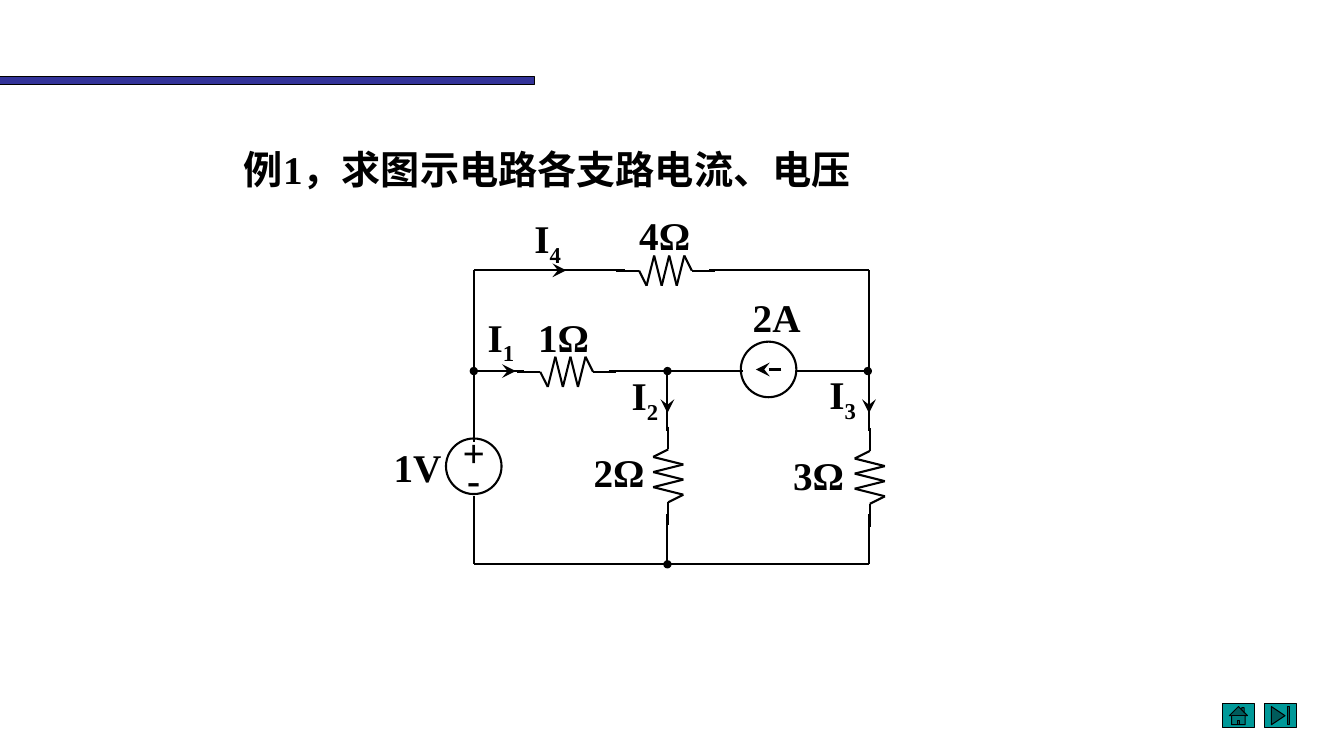
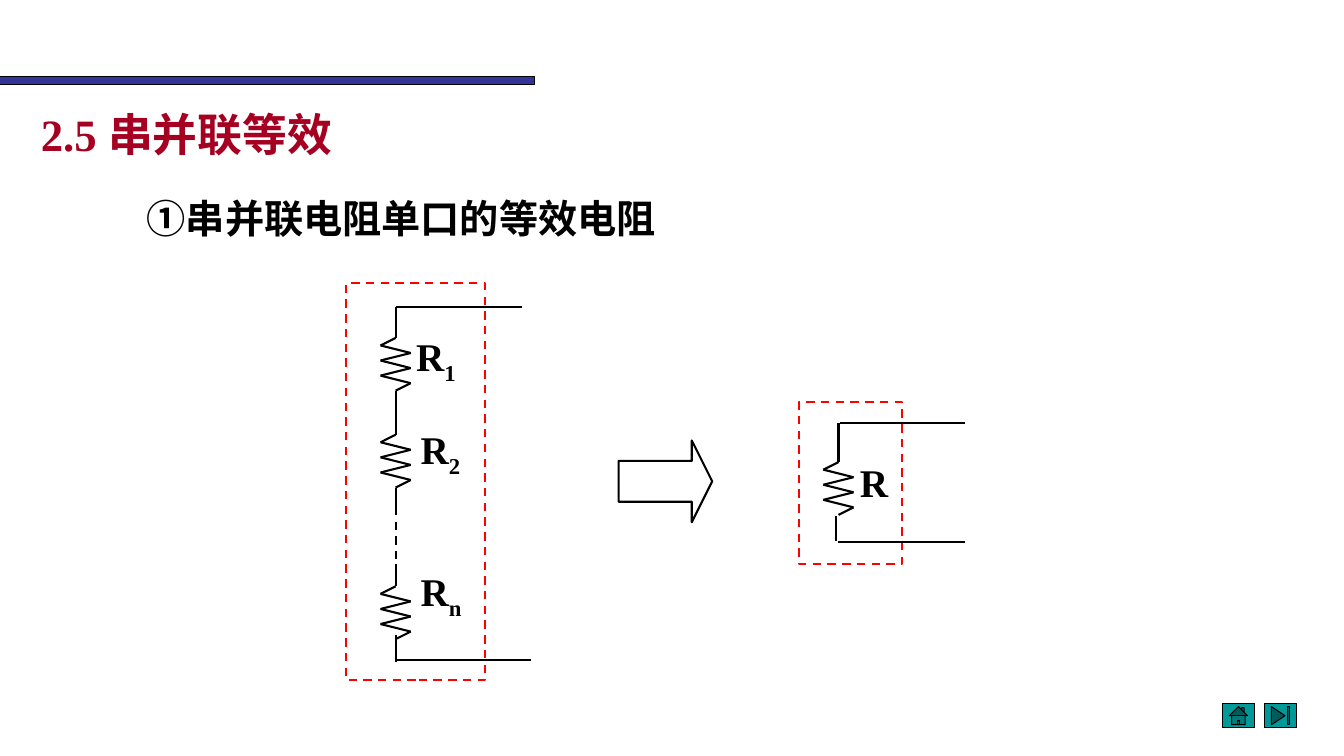
from itertools import pairwise

from lxml import etree
from pptx import Presentation
from pptx.dml.color import RGBColor
from pptx.enum import dml, shapes, text
from pptx.oxml.ns import qn
from pptx.util import Cm, Pt

BLACK = RGBColor(0x00, 0x00, 0x00)
RED = RGBColor(0xFF, 0x00, 0x00)
CRIMSON = RGBColor(0xA5, 0x00, 0x21)
NAVY = RGBColor(0x33, 0x33, 0x99)
TEAL = RGBColor(0x00, 0x99, 0x99)
FONT = "Times New Roman"
SHAPE = shapes.MSO_SHAPE
LEAD = 1.24
ZIG_STEP = 0.19
ZIG_HEIGHT = 0.38


class CircuitDeck:
    def __init__(self):
        self.deck = Presentation()
        self.deck.slide_width = Cm(33.87)
        self.deck.slide_height = Cm(19.05)
        self.page = None

    def new_page(self):
        self.page = self.deck.slides.add_slide(self.deck.slide_layouts[6])
        self.shape(SHAPE.RECTANGLE, 0, 1.93, 13.46, 0.2, NAVY, width=0.75)
        buttons = (SHAPE.ACTION_BUTTON_HOME, SHAPE.ACTION_BUTTON_END)
        for index, kind in enumerate(buttons):
            self.shape(kind, 30.81 + 1.06 * index, 17.73, 0.8, 0.61, TEAL, width=0.75)

    def outline(self, line, color=BLACK, width=1.5, dashed=False):
        line.color.rgb = color
        line.width = Pt(width)
        if dashed:
            line.dash_style = dml.MSO_LINE.DASH

    def shape(self, kind, left, top, width_cm, height_cm, fill=None, color=BLACK,
              width=1.5, dashed=False):
        shape = self.page.shapes.add_shape(
            kind, Cm(left), Cm(top), Cm(width_cm), Cm(height_cm))
        shape.shadow.inherit = False
        if fill is None:
            shape.fill.background()
        else:
            shape.fill.solid()
            shape.fill.fore_color.rgb = fill
        self.outline(shape.line, color, width, dashed)
        return shape

    def dashed_frame(self, left, top, width, height):
        self.shape(SHAPE.RECTANGLE, left, top, width, height, color=RED, dashed=True)

    def source(self, x, y, diameter=1.4):
        self.shape(SHAPE.OVAL, x - diameter / 2, y - diameter / 2, diameter, diameter)

    def wire(self, x1, y1, x2, y2, head=None, tail=None, dashed=False):
        wire = self.page.shapes.add_connector(
            shapes.MSO_CONNECTOR.STRAIGHT, Cm(x1), Cm(y1), Cm(x2), Cm(y2))
        self.outline(wire.line, dashed=dashed)
        line = wire.line._get_or_add_ln()
        for tag, kind in (("a:headEnd", head), ("a:tailEnd", tail)):
            if kind:
                end = etree.SubElement(line, qn(tag), type=kind)
                if kind == "stealth":
                    end.set("w", "lg")
                    end.set("len", "lg")
        etree.SubElement(wire._element.spPr, qn("a:effectLst"))

    def resistor(self, x, y, vertical=False, end_lead=True):
        start = -3.5 * ZIG_STEP
        points = [(-LEAD, 0), (start, 0)]
        points += [(start + ZIG_STEP * step, ZIG_HEIGHT * (1 if step % 2 else -1))
                   for step in range(1, 7)]
        points.append((-start, 0))
        if end_lead:
            points.append((LEAD, 0))
        if vertical:
            points = [(-across, along) for along, across in points]
        for (dx1, dy1), (dx2, dy2) in pairwise(points):
            self.wire(x + dx1, y + dy1, x + dx2, y + dy2)

    def words(self, content, left, top, width, height=1.45, subscript="", size=28,
              color=BLACK, inset=True, anchor=text.MSO_ANCHOR.TOP, align=None):
        box = self.page.shapes.add_textbox(Cm(left), Cm(top), Cm(width), Cm(height))
        frame = box.text_frame
        frame.word_wrap = True
        frame.vertical_anchor = anchor
        if not inset:
            frame.margin_left = frame.margin_right = 0
            frame.margin_top = frame.margin_bottom = 0
        para = frame.paragraphs[0]
        para.text = content
        para.alignment = align
        if subscript:
            span = para.add_run()
            span.text = subscript
            span._r.get_or_add_rPr().set("baseline", "-25000")
        for span in para.runs:
            span.font.name = FONT
            span.font.size = Pt(size)
            span.font.bold = True
            span.font.color.rgb = color


def build_example(deck):
    deck.new_page()
    deck.words("例1，求图示电路各支路电流、电压", 6.15, 3.66, 20.6, 1.19,
               inset=False, align=text.PP_ALIGN.JUSTIFY)

    left, middle, right = 11.94, 16.82, 21.9
    top, center, bottom = 6.81, 9.35, 14.22
    branch_start, branch_end = 10.85, 12.95
    source_x, source_y = 19.37, 9.31

    deck.wire(left, top, left, 11.13)
    deck.wire(left, 12.5, left, bottom)
    deck.wire(left, bottom, right, bottom)
    deck.wire(left, top, 15.75, top)
    deck.wire(17.88, top, right, top)
    deck.wire(left, center, 13.21, center, head="oval")
    deck.wire(15.34, center, 18.72, center)
    deck.wire(20.07, center, 21.87, center, tail="oval")
    deck.wire(right, top, right, branch_start)
    deck.wire(right, branch_end, right, bottom)
    deck.wire(middle, center, middle, branch_start, head="oval")
    deck.wire(middle, branch_end, middle, bottom, tail="oval")

    for arrow in ((13.21, top, 14.27, top), (12.17, center, 13.0, center),
                  (middle, 9.78, middle, 10.41), (right, 9.78, right, 10.41),
                  (19.69, source_y, 19.05, source_y)):
        deck.wire(*arrow, tail="stealth")

    deck.resistor(16.77, 6.82)
    deck.resistor(14.28, 9.37)
    deck.resistor(16.84, 11.99, vertical=True)
    deck.resistor(21.92, 12.03, vertical=True)
    deck.source(source_x, source_y)
    deck.source(left, 11.75)

    for content, x, y, width in (
            ("1V", 9.67, 11.05, 2.01), ("2A", 18.72, 7.26, 2.74),
            ("3Ω", 19.74, 11.24, 2.74), ("2Ω", 14.71, 11.18, 2.74),
            ("4Ω", 15.86, 5.21, 2.74), ("1Ω", 13.31, 7.77, 2.74),
            ("-", 11.52, 11.34, 1.32), ("+", 11.41, 10.68, 1.5)):
        deck.words(content, x, y, width)
    for number, x, y in (("4", 13.22, 5.27), ("2", 15.67, 9.23),
                         ("1", 12.04, 7.76), ("3", 20.65, 9.2)):
        deck.words("I", x, y, 1.7, subscript=number)


def build_equivalent(deck):
    deck.new_page()
    deck.words("2.5 串并联等效", 0.78, 2.51, 14.2, 1.7, size=32, color=CRIMSON,
               anchor=text.MSO_ANCHOR.MIDDLE)
    deck.words("①串并联电阻单口的等效电阻", 3.45, 4.76, 18.01)

    chain, top, bottom = 9.97, 7.74, 16.64
    deck.dashed_frame(8.73, 7.14, 3.5, 10)
    deck.wire(13.16, top, chain, top)
    deck.wire(chain, top, chain, 8.38)
    deck.wire(chain, 12.4, chain, 14.3, dashed=True)
    deck.wire(chain, 16, chain, bottom)
    deck.wire(13.39, bottom, chain, bottom)
    for y, number, label_x, label_y in ((9.18, "1", 10.49, 8.38),
                                        (11.62, "2", 10.6, 10.72),
                                        (15.44, "n", 10.6, 14.3)):
        deck.resistor(chain, y, vertical=True)
        deck.words("R", label_x, label_y, 1.73, 1.19, subscript=number, inset=False)

    arrow = deck.shape(SHAPE.RIGHT_ARROW, 15.59, 11.1, 2.36, 2.06)
    arrow.adjustments[1] = 0.25

    single, top, bottom = 21.13, 10.66, 13.66
    deck.dashed_frame(20.14, 10.13, 2.59, 4.09)
    deck.wire(24.33, top, 21.16, top)
    deck.wire(single, top, single, 11.28)
    deck.resistor(single, 12.31, vertical=True, end_lead=False)
    deck.wire(21.08, 13, 21.08, 13.64)
    deck.wire(24.31, bottom, single, bottom)
    deck.words("R", 21.67, 11.56, 1.47, 1.19, inset=False)


def main():
    circuit_deck = CircuitDeck()
    build_example(circuit_deck)
    build_equivalent(circuit_deck)
    circuit_deck.deck.save("out.pptx")


if __name__ == "__main__":
    main()
